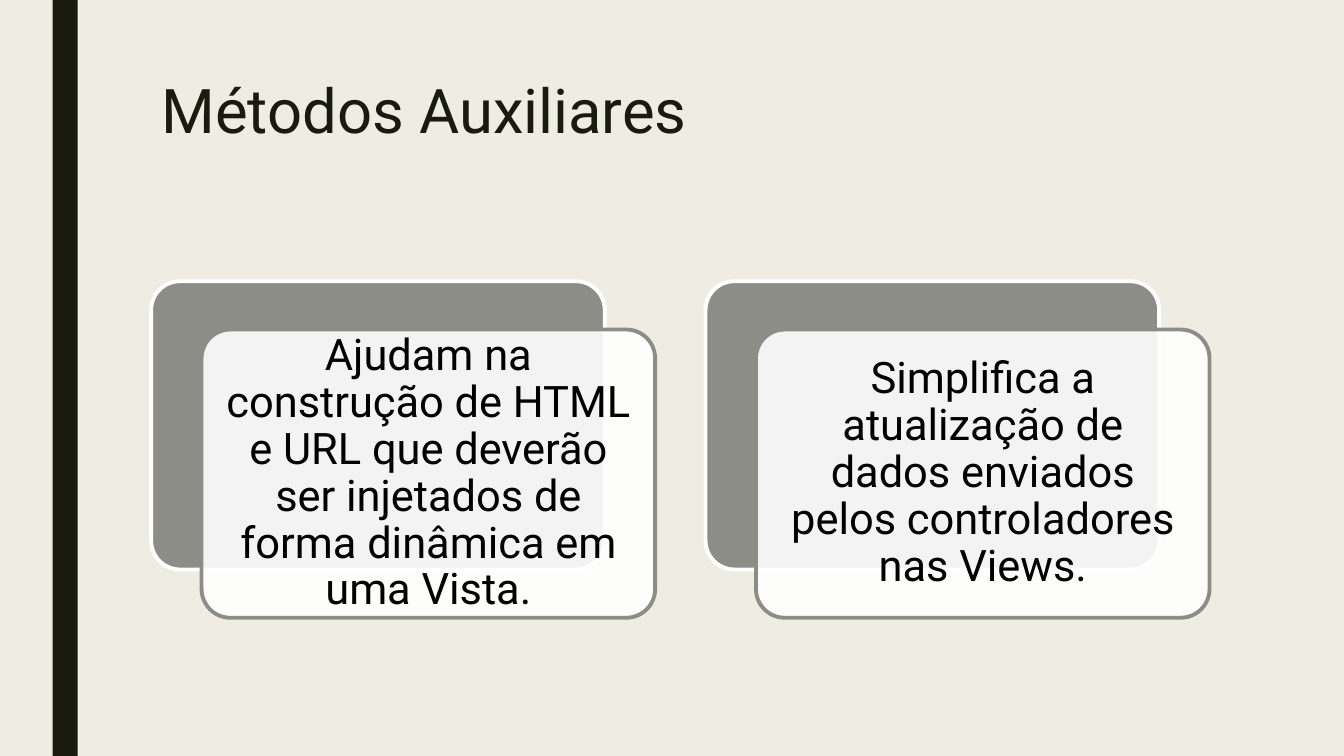
from dataclasses import dataclass
from typing import Optional

import lxml.etree
import pptx
import pptx.dml.color
import pptx.enum.shapes
import pptx.enum.text
import pptx.oxml.ns
import pptx.util

Pt = pptx.util.Pt
RGB = pptx.dml.color.RGBColor
SHAPE = pptx.enum.shapes.MSO_SHAPE
ANCHOR = pptx.enum.text.MSO_ANCHOR
ALIGN = pptx.enum.text.PP_ALIGN

CREAM = RGB(0xEF, 0xED, 0xE3)
DARK = RGB(0x19, 0x1B, 0x0E)
GRAY = RGB(0x8C, 0x8D, 0x86)
WHITE = RGB(0xFF, 0xFF, 0xFF)
BLACK = RGB(0, 0, 0)
FONT = "Roboto"

LEFT, TOP = 108, 200.9
WIDE, HIGH = 324, 205.9
STEP = 396
SHIFT_X, SHIFT_Y = 36, 34.5


@dataclass
class Box:
    left: float
    top: float
    width: float
    height: float
    fill: RGB
    line: Optional[RGB] = None
    alpha: int = 100


def draw(slide, box: Box, kind=SHAPE.ROUNDED_RECTANGLE):
    shape = slide.shapes.add_shape(
        kind, Pt(box.left), Pt(box.top), Pt(box.width), Pt(box.height))
    shape.shadow.inherit = False
    shape.fill.solid()
    shape.fill.fore_color.rgb = box.fill
    if box.alpha < 100:
        color = shape.fill._xPr.find(".//" + pptx.oxml.ns.qn("a:srgbClr"))
        lxml.etree.SubElement(
            color, pptx.oxml.ns.qn("a:alpha"), val=str(box.alpha * 1000))
    if box.line is None:
        shape.line.fill.background()
    else:
        shape.line.color.rgb = box.line
        shape.line.width = Pt(2.75)
    if kind == SHAPE.ROUNDED_RECTANGLE:
        shape.adjustments[0] = 0.1
    return shape


def write(shape, text: str, size: float, color: RGB, space: float,
          align: ALIGN, anchor: ANCHOR) -> None:
    frame = shape.text_frame
    frame.word_wrap = True
    frame.auto_size = pptx.enum.text.MSO_AUTO_SIZE.NONE
    frame.vertical_anchor = anchor
    frame.text = text
    para = frame.paragraphs[0]
    para.alignment = align
    para.line_spacing = space
    para.font.name = FONT
    para.font.size = Pt(size)
    para.font.color.rgb = color


def card(slide, left: float, text: str) -> None:
    draw(slide, Box(left, TOP, WIDE, HIGH, GRAY, WHITE))
    front = draw(slide, Box(left + SHIFT_X, TOP + SHIFT_Y, WIDE, HIGH,
                            WHITE, GRAY, 90))
    write(front, text, 31, BLACK, 0.9, ALIGN.CENTER, ANCHOR.MIDDLE)
    frame = front.text_frame
    frame.margin_left = frame.margin_right = Pt(9.3)
    frame.margin_top = frame.margin_bottom = Pt(9.3)


def main() -> None:
    deck = pptx.Presentation()
    deck.slide_width, deck.slide_height = Pt(960), Pt(540)
    slide = deck.slides.add_slide(deck.slide_layouts[5])
    slide.background.fill.solid()
    slide.background.fill.fore_color.rgb = CREAM

    draw(slide, Box(37.5, 0, 18, 540, DARK), SHAPE.RECTANGLE)

    title = slide.shapes.title
    title.left, title.top = Pt(108), Pt(54)
    title.width, title.height = Pt(756), Pt(117)
    write(title, "Métodos Auxiliares", 44, DARK, 0.89, ALIGN.LEFT, ANCHOR.TOP)

    texts = (
        "Ajudam na construção de HTML e URL que deverão ser injetados "
        "de forma dinâmica em uma Vista.",
        "Simplifica a atualização de dados enviados pelos controladores "
        "nas Views.",
    )
    for col, text in enumerate(texts):
        card(slide, LEFT + col * STEP, text)

    deck.save("out.pptx")


if __name__ == "__main__":
    main()
